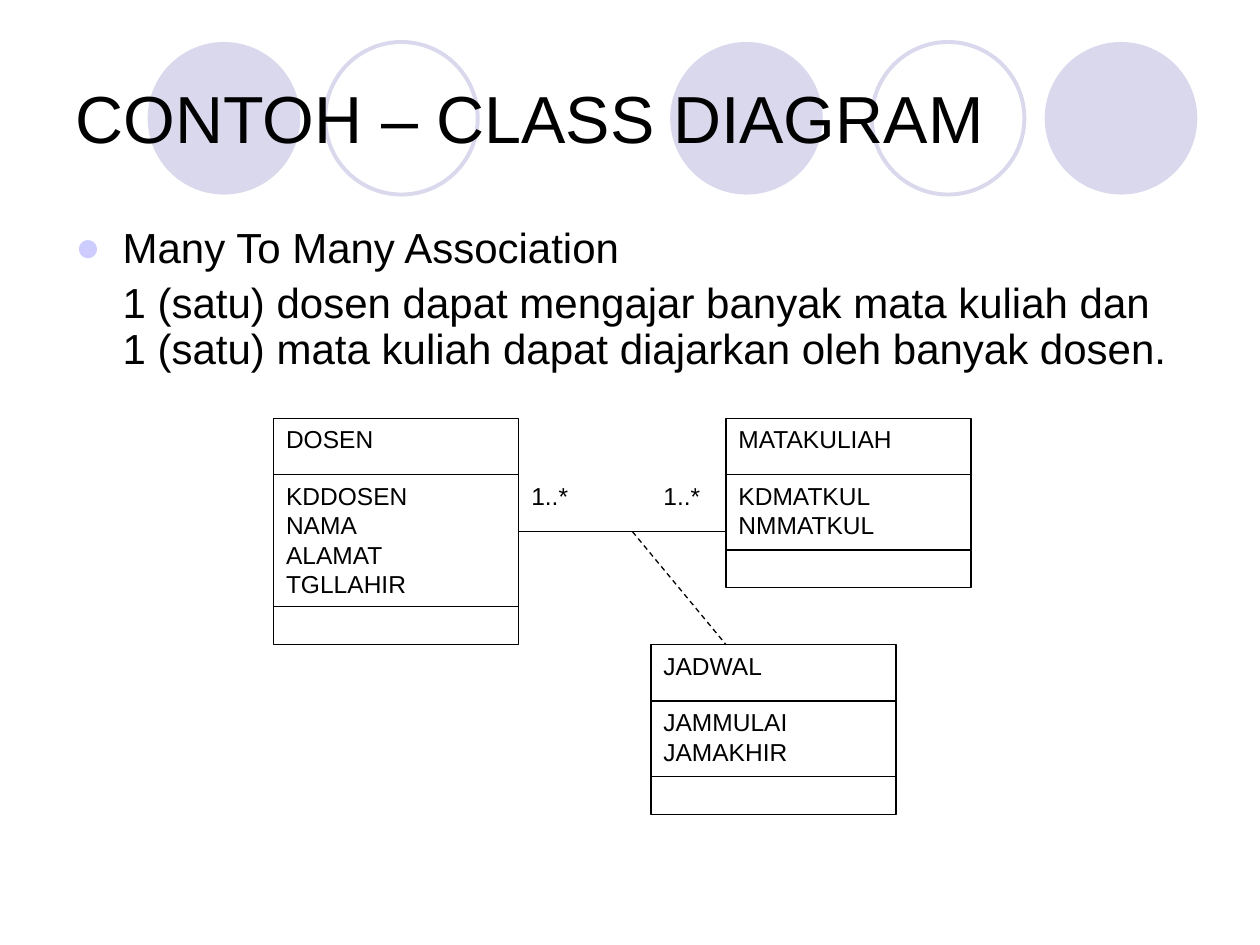
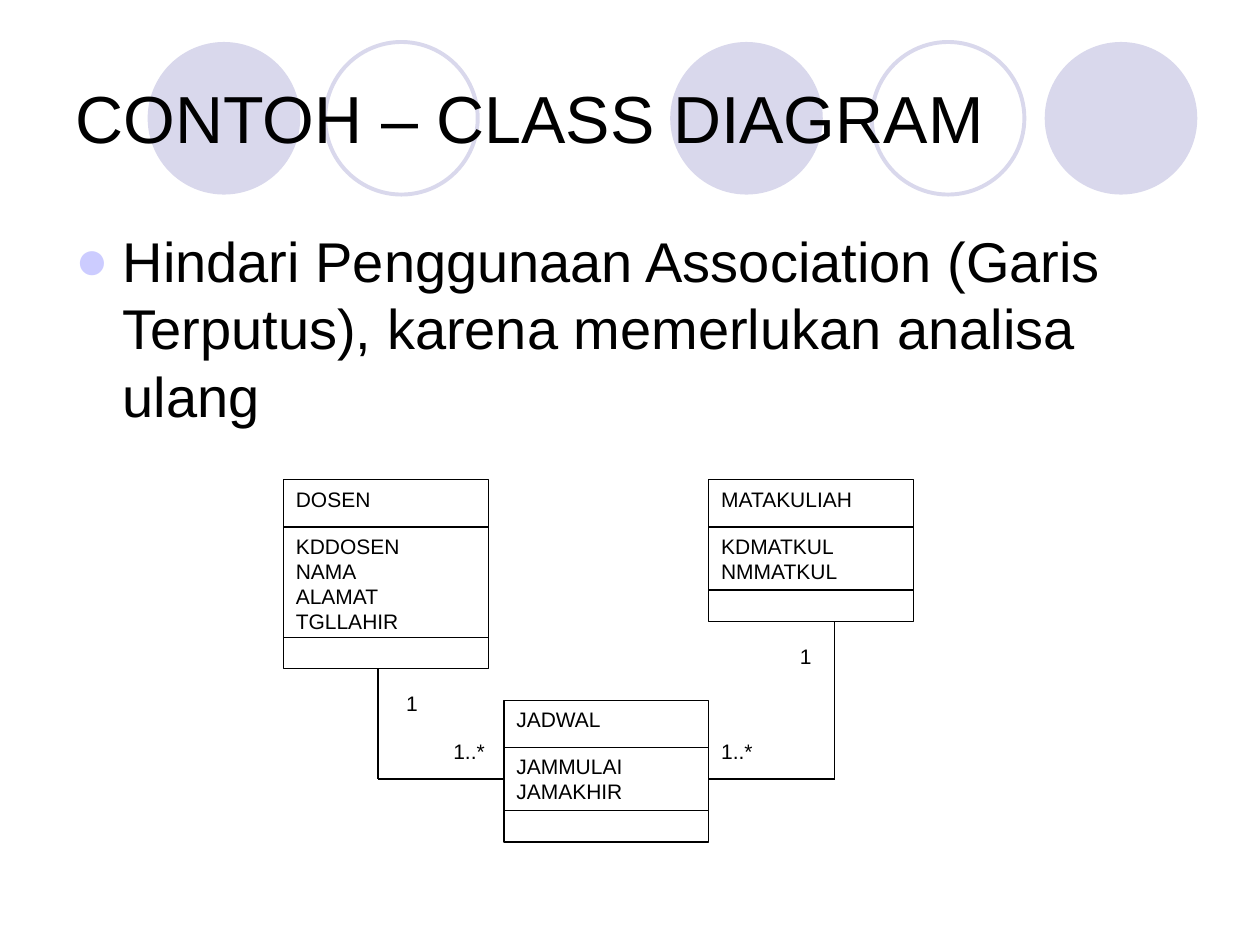
"""Build two class diagram slides about many-to-many associations."""
from dataclasses import dataclass

from lxml import etree
from pptx import Presentation
from pptx.dml.color import RGBColor
from pptx.enum.dml import MSO_LINE_DASH_STYLE as Dash
from pptx.enum.shapes import MSO_CONNECTOR as Connector, MSO_SHAPE as Shape
from pptx.enum.text import MSO_ANCHOR as Anchor, MSO_AUTO_SIZE as AutoSize, PP_ALIGN as Align
from pptx.oxml.ns import qn
from pptx.util import Pt


@dataclass(frozen=True)
class Theme:
    font: str = "Arial"
    ink: RGBColor = RGBColor(0, 0, 0)
    paper: RGBColor = RGBColor(255, 255, 255)
    circle: RGBColor = RGBColor(0xD9, 0xD8, 0xEC)
    bullet: str = "CCCCFF"
    title_size: int = 38
    thin: float = 0.75
    thick: float = 2.25


theme = Theme()


def write_text(shape, lines, size, align=Align.LEFT, anchor=Anchor.TOP,
               spacing=1.0, before=0, indent=0, bullet=False):
    frame = shape.text_frame
    frame.word_wrap = True
    frame.auto_size = AutoSize.NONE
    frame.vertical_anchor = anchor
    frame.text = "\n".join(lines)
    for index, paragraph in enumerate(frame.paragraphs):
        paragraph.alignment = align
        paragraph.line_spacing = spacing
        paragraph.space_before = Pt(before)
        for run in paragraph.runs:
            run.font.name = theme.font
            run.font.size = Pt(size)
            run.font.color.rgb = theme.ink
        properties = paragraph._p.get_or_add_pPr()
        properties.set("marL", str(Pt(indent)))
        if bullet and index == 0:
            properties.set("indent", str(-Pt(indent)))
            color = etree.SubElement(properties, qn("a:buClr"))
            etree.SubElement(color, qn("a:srgbClr"), val=theme.bullet)
            etree.SubElement(properties, qn("a:buFont"), typeface=theme.font)
            etree.SubElement(properties, qn("a:buChar"), char="●")
        else:
            properties.set("indent", "0")


def add_line(slide, start, end, dashed=False):
    line = slide.shapes.add_connector(Connector.STRAIGHT, *map(Pt, start + end))
    line.line.color.rgb = theme.ink
    line.line.width = Pt(theme.thin)
    if dashed:
        line.line.dash_style = Dash.DASH
    etree.SubElement(line._element.spPr, qn("a:effectLst"))
    return line


DOSEN = ["KDDOSEN", "NAMA", "ALAMAT", "TGLLAHIR"]
MATAKULIAH = ["KDMATKUL", "NMMATKUL"]
JADWAL = ["JAMMULAI", "JAMAKHIR"]

pages = [
    dict(
        body=["Many To Many Association",
              "1 (satu) dosen dapat mengajar banyak mata kuliah dan "
              "1 (satu) mata kuliah dapat diajarkan oleh banyak dosen."],
        body_height=104.4, body_format=dict(size=24, spacing=0.9, before=6),
        unit=21.55, size=14,
        classes=[("DOSEN", DOSEN, 156.4, 239), ("MATAKULIAH", MATAKULIAH, 414.9, 239),
                 ("JADWAL", JADWAL, 372, 368.4)],
        lines=[((296.5, 303.8), (414.9, 303.8), False), ((361.4, 303.8), (414.9, 368.4), True)],
        joins=[],
        labels=[("1..*", 296.5, 271.4, 43, Align.LEFT), ("1..*", 372, 271.4, 43, Align.LEFT)],
    ),
    dict(
        body=["Hindari Penggunaan Association (Garis Terputus), karena memerlukan analisa ulang"],
        body_height=138.2, body_format=dict(size=32, before=8),
        unit=18, size=12,
        classes=[("DOSEN", DOSEN, 162, 274.2), ("MATAKULIAH", MATAKULIAH, 405, 274.2),
                 ("JADWAL", JADWAL, 288, 400.2)],
        lines=[((216, 382.2), (216, 445.2), False), ((477, 445.2), (477, 355.2), False)],
        joins=[((216, 445.2), "JADWAL", 1), ((477, 445.2), "JADWAL", 3)],
        labels=[("1..*", 252, 418.2, 36, Align.LEFT), ("1..*", 405, 418.2, 36, Align.LEFT),
                ("1", 450, 364.2, 18, Align.RIGHT), ("1", 225, 391.2, 18, Align.LEFT)],
    ),
]

presentation = Presentation()
presentation.slide_width, presentation.slide_height = Pt(720), Pt(540)
layout = presentation.slide_layouts.get_by_name("Title Only")
slides = [presentation.slides.add_slide(layout) for page in pages]

circles = [(84.4, True), (185.8, False), (383, True), (498.2, False), (597, True)]
for number, (left, filled) in enumerate(circles):
    circle = slides[0].shapes.add_shape(Shape.OVAL, Pt(left), Pt(24), Pt(87.2), Pt(87.2))
    circle.shadow.inherit = False
    if filled:
        circle.fill.solid()
        circle.fill.fore_color.rgb = theme.circle
        circle.line.fill.background()
    else:
        circle.fill.background()
        circle.line.color.rgb = theme.circle
        circle.line.width = Pt(theme.thick)
    circle._element.nvSpPr.cNvPr.set("id", str(100 + number))
    layout.shapes._spTree.insert(2 + number, circle._element)

for slide, page in zip(slides, pages):
    title = slide.shapes.title
    title.left, title.top, title.width, title.height = map(Pt, (36, 21.6, 648, 90))
    write_text(title, ["CONTOH – CLASS DIAGRAM"], theme.title_size, anchor=Anchor.MIDDLE)

    body = slide.shapes.add_textbox(Pt(36), Pt(126), Pt(648), Pt(page["body_height"]))
    write_text(body, page["body"], indent=27, bullet=True, **page["body_format"])

    unit = page["unit"]
    attribute_boxes = {}
    for name, attributes, left, top in page["classes"]:
        compartments = [([name], 1.5), (attributes, 0.5 + 0.75 * len(attributes)), ([], 1)]
        for lines, units in compartments:
            height = units * unit
            box = slide.shapes.add_shape(Shape.RECTANGLE, Pt(left), Pt(top), Pt(6.5 * unit), Pt(height))
            box.shadow.inherit = False
            box.fill.solid()
            box.fill.fore_color.rgb = theme.paper
            box.line.color.rgb = theme.ink
            box.line.width = Pt(theme.thin)
            if lines:
                write_text(box, lines, page["size"])
            if lines is attributes:
                attribute_boxes[name] = box
            top += height

    for start, end, dashed in page["lines"]:
        add_line(slide, start, end, dashed)
    for start, name, side in page["joins"]:
        add_line(slide, start, start).end_connect(attribute_boxes[name], side)

    for text, left, top, width, align in page["labels"]:
        label = slide.shapes.add_textbox(Pt(left), Pt(top), Pt(width), Pt(unit))
        write_text(label, [text], page["size"], align=align)

presentation.save("out.pptx")
